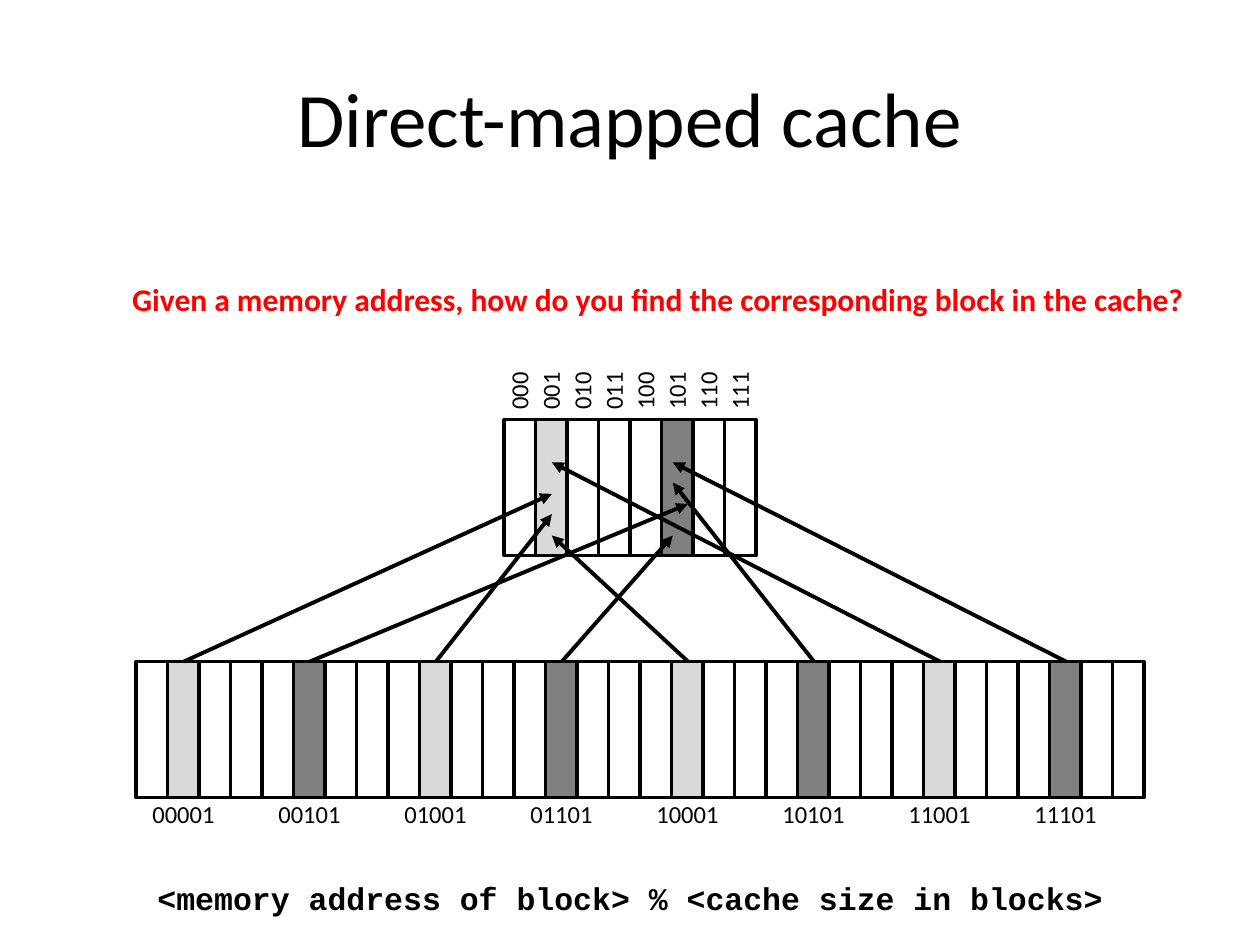
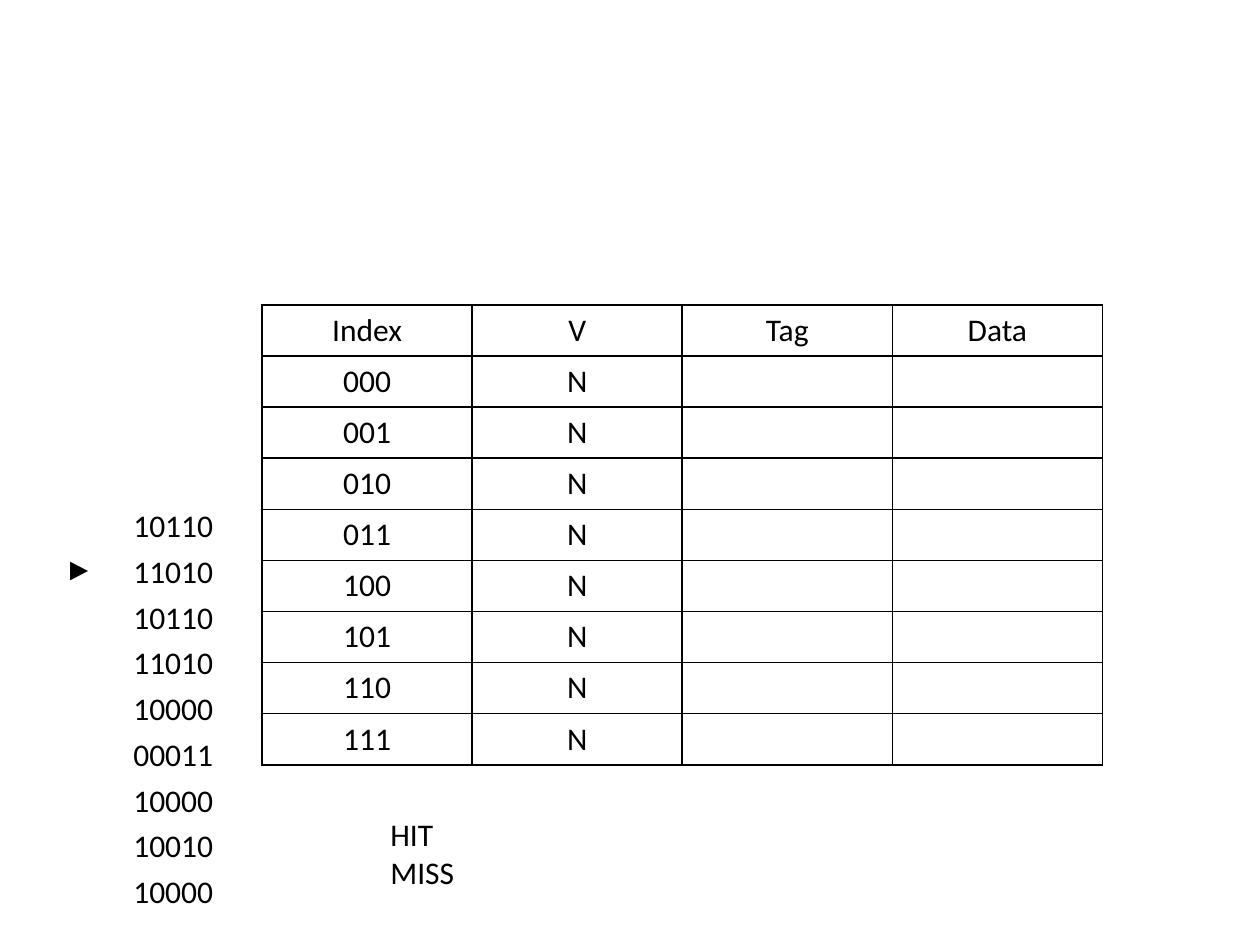
from lxml import etree
from pptx import Presentation
from pptx.dml.color import RGBColor
from pptx.enum.shapes import MSO_CONNECTOR, MSO_SHAPE
from pptx.enum.text import MSO_ANCHOR, MSO_AUTO_SIZE, PP_ALIGN
from pptx.oxml.ns import qn
from pptx.util import Inches, Pt

BLACK = RGBColor(0x00, 0x00, 0x00)
RED = RGBColor(0xFF, 0x00, 0x00)
LIGHT_GRAY = RGBColor(0xD9, 0xD9, 0xD9)
DARK_GRAY = RGBColor(0x80, 0x80, 0x80)
BODY_FONT = "Calibri"
CODE_FONT = "Courier New"
TITLE_ONLY, BLANK = 5, 6


class Deck:
    def __init__(self):
        self.presentation = Presentation()
        self.presentation.slide_width = Inches(10)
        self.presentation.slide_height = Inches(7.5)
        self.slide = None

    def new_slide(self, title=None):
        layout = BLANK if title is None else TITLE_ONLY
        self.slide = self.presentation.slides.add_slide(
            self.presentation.slide_layouts[layout])
        if title is not None:
            shape = self.slide.shapes.title
            shape.left, shape.top = Inches(0.5), Inches(0.3)
            shape.width, shape.height = Inches(9), Inches(1.25)
            shape.text_frame.text = title
            shape.text_frame.vertical_anchor = MSO_ANCHOR.MIDDLE
            self.format_text(shape.text_frame, size=44, align=PP_ALIGN.CENTER)

    def format_text(self, text_frame, size=18, color=BLACK, bold=False,
                    font=BODY_FONT, align=PP_ALIGN.LEFT):
        for paragraph in text_frame.paragraphs:
            paragraph.alignment = align
            for run in paragraph.runs:
                run.font.size = Pt(size)
                run.font.color.rgb = color
                run.font.bold = bold
                run.font.name = font

    def text(self, left, top, width, height, text, wrap=False, margins=True,
             rotation=0, **style):
        shape = self.slide.shapes.add_textbox(
            Inches(left), Inches(top), Inches(width), Inches(height))
        shape.rotation = rotation
        text_frame = shape.text_frame
        text_frame.word_wrap = wrap
        text_frame.auto_size = MSO_AUTO_SIZE.SHAPE_TO_FIT_TEXT
        if not margins:
            text_frame.margin_left = text_frame.margin_right = 0
            text_frame.margin_top = text_frame.margin_bottom = 0
        text_frame.text = text
        self.format_text(text_frame, **style)

    def block(self, left, top, width, height, fill=None):
        shape = self.slide.shapes.add_shape(
            MSO_SHAPE.RECTANGLE, Inches(left), Inches(top),
            Inches(width), Inches(height))
        shape.shadow.inherit = False
        if fill is None:
            shape.fill.background()
        else:
            shape.fill.solid()
            shape.fill.fore_color.rgb = fill
        shape.line.color.rgb = BLACK
        shape.line.width = Pt(2)

    def block_row(self, left, top, count):
        """Adjacent blocks, shaded by the cache index they map to."""
        shades = {1: LIGHT_GRAY, 5: DARK_GRAY}
        for number in range(count):
            self.block(left + number * BLOCK_WIDTH, top, BLOCK_WIDTH,
                       BLOCK_HEIGHT, shades.get(number % CACHE_SIZE))

    def arrow(self, start, end):
        connector = self.slide.shapes.add_connector(
            MSO_CONNECTOR.STRAIGHT, Inches(start[0]), Inches(start[1]),
            Inches(end[0]), Inches(end[1]))
        connector.line.color.rgb = BLACK
        connector.line.width = Pt(2.25)
        properties = connector._element.spPr
        line = properties.find(qn("a:ln"))
        etree.SubElement(line, qn("a:tailEnd"), type="triangle")
        etree.SubElement(properties, qn("a:effectLst"))

    def set_borders(self, cell, width):
        """Black borders of the given width in points; none when zero."""
        properties = cell._tc.get_or_add_tcPr()
        for side in ("a:lnL", "a:lnR", "a:lnT", "a:lnB"):
            line = etree.SubElement(properties, qn(side), w=str(Pt(width)))
            if width:
                fill = etree.SubElement(line, qn("a:solidFill"))
                etree.SubElement(fill, qn("a:srgbClr"), val=str(BLACK))
            else:
                etree.SubElement(line, qn("a:noFill"))

    def table(self, left, top, width, height, rows, border=0, margins=True):
        table = self.slide.shapes.add_table(
            len(rows), len(rows[0]), Inches(left), Inches(top),
            Inches(width), Inches(height)).table
        table.first_row = table.horz_banding = False
        for row, values in zip(table.rows, rows):
            row.height = Inches(height / len(rows))
            for cell, value in zip(row.cells, values):
                self.set_borders(cell, border)
                cell.fill.background()
                cell.vertical_anchor = MSO_ANCHOR.MIDDLE
                if not margins:
                    cell.margin_left = cell.margin_right = 0
                    cell.margin_top = cell.margin_bottom = 0
                if value:
                    cell.text_frame.text = value
                    font = CODE_FONT if value == POINTER else BODY_FONT
                    self.format_text(cell.text_frame, font=font,
                                     align=PP_ALIGN.CENTER)


CACHE_SIZE, MEMORY_SIZE = 8, 32
CACHE_LEFT, CACHE_TOP = 4, 3.33
MEMORY_LEFT, MEMORY_TOP = 1.08, 5.25
BLOCK_WIDTH, BLOCK_HEIGHT = 0.25, 1.08
POINTER = "►"
INDEXES = [format(number, "03b") for number in range(CACHE_SIZE)]

deck = Deck()

# Slide 1: memory blocks mapped to cache blocks
deck.new_slide("Direct-mapped cache")
deck.text(0.95, 2.17, 8.68, 0.4,
          "Given a memory address, how do you find the corresponding "
          "block in the cache? ", color=RED, bold=True)

# Cache with its indexes
deck.block_row(CACHE_LEFT, CACHE_TOP, CACHE_SIZE)
for number, index in enumerate(INDEXES):
    deck.text(CACHE_LEFT - 0.03 + number * BLOCK_WIDTH, 2.98, 0.3, 0.24,
              index, margins=False, rotation=270, size=14)

# Memory with the shaded addresses
deck.block_row(MEMORY_LEFT, MEMORY_TOP, MEMORY_SIZE)
deck.text(0.95, 6.93, 8.1, 0.4,
          "<memory address of block> % <cache size in blocks>",
          wrap=True, bold=True, font=CODE_FONT, align=PP_ALIGN.CENTER)

# Every fourth address, starting at 1, points into the cache
arrow_ends = [(4.38, 3.92), (5.46, 4), (4.38, 4.08), (5.34, 4.25),
              (4.38, 4.25), (5.34, 3.83), (4.38, 3.67), (5.34, 3.67)]
for number, end in enumerate(arrow_ends):
    deck.text(1.21 + number, 6.34, 0.5, 0.24, format(4 * number + 1, "05b"),
              margins=False, size=14)
    deck.arrow((1.46 + number, MEMORY_TOP), end)

# Slide 2: cache state and the sequence of accesses
deck.new_slide()
cache_rows = [["Index", "V", "Tag", "Data"]]
cache_rows += [[index, "N", "", ""] for index in INDEXES]
deck.table(2.08, 2.42, 6.67, 3.65, cache_rows, border=1)

accesses = ["10110", "11010", "10110", "11010", "10000",
            "00011", "10000", "10010", "10000"]
current_access = 1
access_rows = [[POINTER if number == current_access else "", address]
               for number, address in enumerate(accesses)]
deck.table(0.25, 4, 1.5, 3.27, access_rows, margins=False)

deck.text(3, 6.42, 0.71, 0.71, "HIT\nMISS")

deck.presentation.save("out.pptx")
